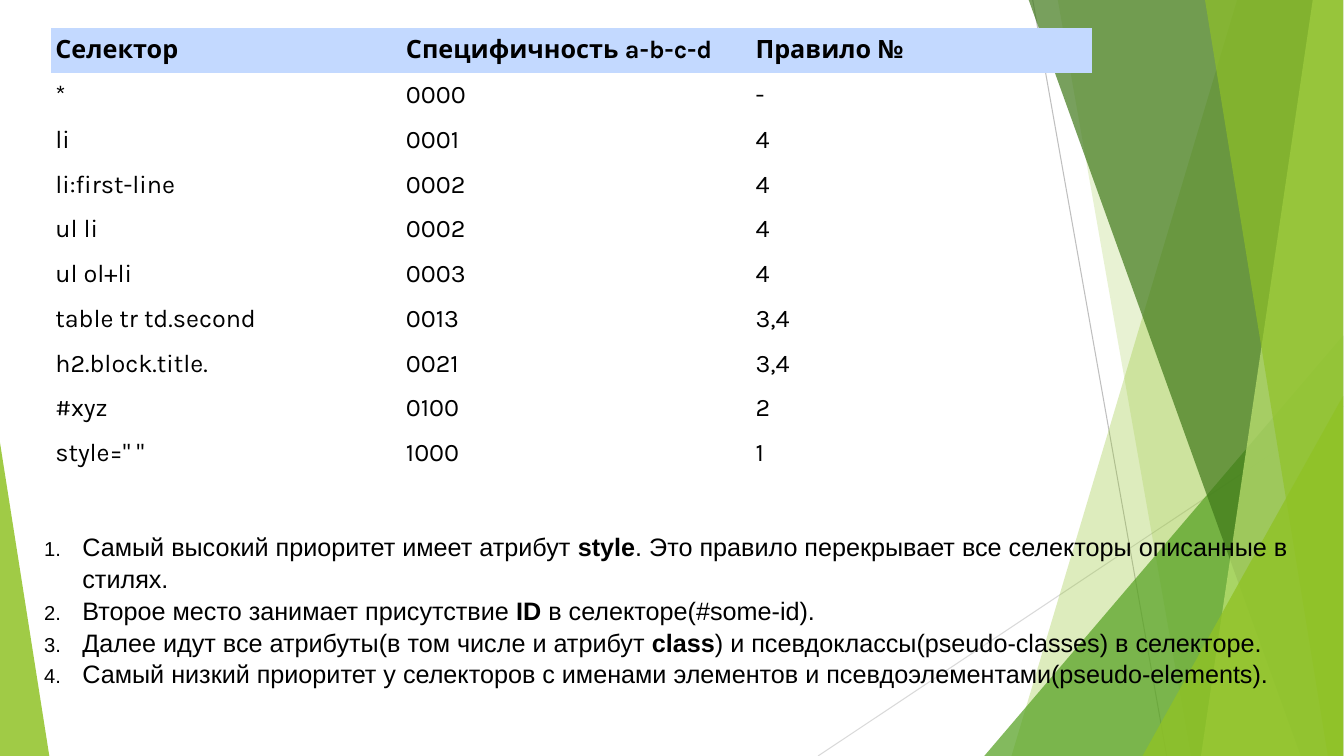
"""Build a slide on the weight of CSS selectors."""
import pptx
import pptx.dml.color
import pptx.enum.shapes
import pptx.enum.text
import pptx.oxml
import pptx.oxml.ns
import pptx.util
from lxml import etree

RGB = pptx.dml.color.RGBColor
BLACK = RGB(0x00, 0x00, 0x00)
HEAD = RGB(0xC3, 0xD9, 0xFF)
LIME = RGB(0x90, 0xC2, 0x26)
GREEN = RGB(0x54, 0xA0, 0x21)
DARK = RGB(0x3F, 0x78, 0x19)
PALE = RGB(0xC0, 0xE4, 0x74)
GREY = RGB(0xBF, 0xBF, 0xBF)
LIGHT = RGB(0xD9, 0xD9, 0xD9)

ROWS = [
    ("Селектор", "Специфичность a-b-c-d", "Правило №"),
    ("*", "0000", "-"),
    ("li", "0001", "4"),
    ("li:first-line", "0002", "4"),
    ("ul li", "0002", "4"),
    ("ul ol+li", "0003", "4"),
    ("table tr td.second", "0013", "3,4"),
    ("h2.block.title.", "0021", "3,4"),
    ("#xyz", "0100", "2"),
    ('style=" "', "1000", "1"),
]
RULES = [
    ("Самый высокий приоритет имеет атрибут ", "style",
     ". Это правило перекрывает все селекторы описанные в стилях."),
    ("Второе место занимает присутствие ", "ID", " в селекторе(#some-id)."),
    ("Далее идут все атрибуты(в том числе и атрибут ", "class",
     ") и псевдоклассы(pseudo-classes) в селекторе."),
    ("Самый низкий приоритет у селекторов с именами элементов "
     "и псевдоэлементами(pseudo-elements).",),
]

WIDE, HIGH = 13.34, 7.5
EDGE = 99.93
LINES = [(76.84, 0, 86.81, 100, GREY), (EDGE, 53.73, 60.87, 100, LIGHT)]
BANDS = {
    "back": [(92.05, 75.26, LIME, 30), (78.71, 88.61, LIME, 20)],
    "front": [(76.54, 96.78, DARK, 70), (97.68, 89.36, PALE, 70),
              (89.66, 98.8, LIME, 65)],
}
PEAKS = {
    "back": [(73.24, EDGE, 44.4, 1, GREEN, 72)],
    "front": [(85.01, EDGE, 52.4, 1, LIME, 80), (0, 3.67, 58.53, 0, LIME, 85)],
}
GRID = (3.82, 3.73)
COLS = (26.09, 26.01, 25.34)
ROW = 5.92
BOX = (2.55, 69.47, 94.53, 21.33)
INDENT = 0.38
STYLE = "{2D5ABB26-0587-4C30-8999-92F81FD0307C}"
BULLET = (("buClr", None), ("buSzPct", {"val": "80000"}),
          ("buFont", {"typeface": "Arial"}),
          ("buAutoNum", {"type": "arabicPeriod"}))


def across(share):
    return pptx.util.Inches(WIDE * share / 100)


def down(share):
    return pptx.util.Inches(HIGH * share / 100)


def place(left, top, width, height):
    return across(left), down(top), across(width), down(height)


def put(thing, form):
    for name, value in form.items():
        setattr(thing, name, value)


def child(node, tag, attrs=None):
    return etree.SubElement(node, pptx.oxml.ns.qn("a:" + tag), attrs or {})


def tint(shape, color, alpha):
    shape.shadow.inherit = False
    shape.line.fill.background()
    shape.fill.solid()
    shape.fill.fore_color.rgb = color
    node = shape._element.spPr.find(".//" + pptx.oxml.ns.qn("a:srgbClr"))
    child(node, "alpha", {"val": str(alpha * 1000)})


def write(para, text, face, bold):
    run = para.add_run()
    run.text = text
    put(run.font, {"name": face, "size": pptx.util.Pt(18), "bold": bold})
    run.font.color.rgb = BLACK


def draw_lines(shapes):
    kind = pptx.enum.shapes.MSO_CONNECTOR.STRAIGHT
    for x1, y1, x2, y2, color in LINES:
        line = shapes.add_connector(kind, *place(x1, y1, x2, y2))
        line.line.color.rgb = color
        line.line.width = pptx.util.Pt(0.75)
        child(line._element.spPr, "effectLst")


def draw_band(shapes, top, base, color, alpha):
    form = shapes.build_freeform(across(top), 0, scale=1.0)
    ends = [(EDGE, 0), (EDGE, 100), (base, 100)]
    form.add_line_segments([(across(x), down(y)) for x, y in ends])
    tint(form.convert_to_shape(), color, alpha)


def draw_peak(shapes, left, right, top, tip, color, alpha):
    kind = pptx.enum.shapes.MSO_SHAPE.ISOSCELES_TRIANGLE
    peak = shapes.add_shape(kind, *place(left, top, right - left, 100 - top))
    peak.adjustments[0] = tip
    tint(peak, color, alpha)


def draw_table(shapes):
    size = (sum(COLS), ROW * len(ROWS))
    table = shapes.add_table(len(ROWS), len(COLS), *place(*GRID, *size)).table
    put(table, {"first_row": True, "horz_banding": False})
    table._tbl.tblPr.find(pptx.oxml.ns.qn("a:tableStyleId")).text = STYLE
    for col, share in zip(table.columns, COLS):
        col.width = across(share)
    pad = {"margin_left": pptx.util.Inches(0.04),
           "margin_right": pptx.util.Inches(0.08),
           "vertical_anchor": pptx.enum.text.MSO_ANCHOR.MIDDLE}
    for r, texts in enumerate(ROWS):
        table.rows[r].height = down(ROW)
        for c, text in enumerate(texts):
            cell = table.cell(r, c)
            put(cell, pad)
            write(cell.text_frame.paragraphs[0], text, "Karla", r == 0)
            if r == 0:
                cell.fill.solid()
                cell.fill.fore_color.rgb = HEAD
            else:
                cell.fill.background()


def draw_rules(shapes):
    frame = shapes.add_textbox(*place(*BOX)).text_frame
    frame.word_wrap = True
    shift = pptx.util.Inches(INDENT)
    for i, parts in enumerate(RULES):
        para = frame.add_paragraph() if i else frame.paragraphs[0]
        para.line_spacing = 1.05
        props = para._p.get_or_add_pPr()
        props.set("marL", str(shift))
        props.set("indent", str(-shift))
        for tag, attrs in BULLET:
            node = child(props, tag, attrs)
            if tag == "buClr":
                child(node, "srgbClr", {"val": str(BLACK)})
        for j, text in enumerate(parts):
            write(para, text, "Arial", j == 1)


def main():
    deck = pptx.Presentation()
    put(deck, {"slide_width": across(100), "slide_height": down(100)})
    shapes = deck.slides.add_slide(deck.slide_layouts[6]).shapes
    draw_lines(shapes)
    for layer in ("back", "front"):
        for band in BANDS[layer]:
            draw_band(shapes, *band)
        for peak in PEAKS[layer]:
            draw_peak(shapes, *peak)
    draw_table(shapes)
    draw_rules(shapes)
    deck.save("out.pptx")


if __name__ == "__main__":
    main()
